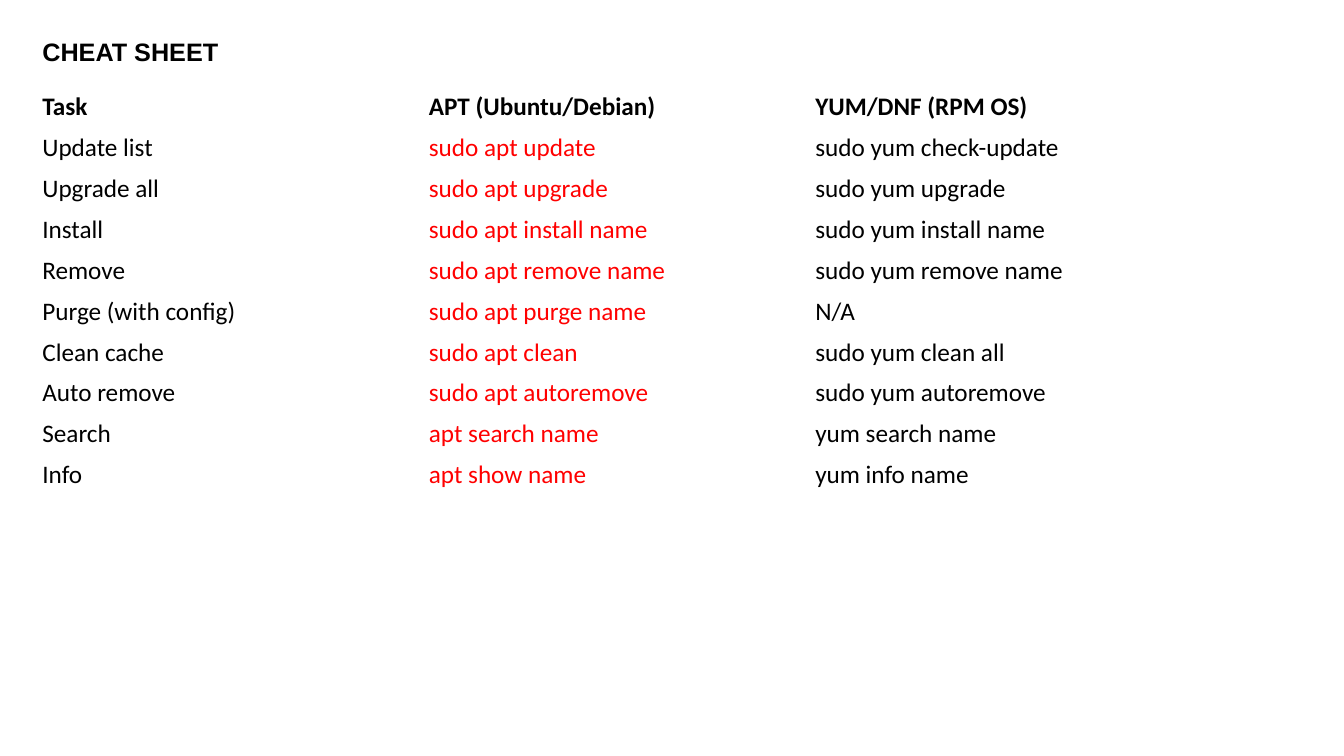
from pptx import Presentation
from pptx.dml.color import RGBColor
from pptx.enum.text import MSO_ANCHOR as ANCHOR, MSO_AUTO_SIZE as AUTO, PP_ALIGN as ALIGN
from pptx.util import Inches, Pt


def rgb(value):
    return RGBColor.from_string(value)


def write(tf, text, font="Calibri", size=18, color="000000", bold=False):
    p = tf.paragraphs[0]
    p.alignment = ALIGN.LEFT
    r = p.add_run()
    r.text = text
    r.font.name = font
    r.font.size = Pt(size)
    r.font.bold = bold
    r.font.color.rgb = rgb(color)


prs = Presentation()
prs.slide_width, prs.slide_height = Inches(13.33), Inches(7.5)
s = prs.slides.add_slide(prs.slide_layouts[5])

# Command table
rows = [
    ("Task", "APT (Ubuntu/Debian)", "YUM/DNF (RPM OS)"),
    ("Update list", "sudo apt update", "sudo yum check-update"),
    ("Upgrade all", "sudo apt upgrade", "sudo yum upgrade"),
    ("Install", "sudo apt install name", "sudo yum install name"),
    ("Remove", "sudo apt remove name", "sudo yum remove name"),
    ("Purge (with config)", "sudo apt purge name", "N/A"),
    ("Clean cache", "sudo apt clean", "sudo yum clean all"),
    ("Auto remove", "sudo apt autoremove", "sudo yum autoremove"),
    ("Search", "apt search name", "yum search name"),
    ("Info", "apt show name", "yum info name"),
]
frame = s.shapes.add_table(len(rows), 3, Inches(0.32), Inches(0.86),
                           Inches(11.5), Inches(0.4 * len(rows)))
table = frame.table
table.horz_banding = False

# Built-in style without fill or grid
table._tbl.tblPr.find("{*}tableStyleId").text = "{2D5ABB26-0587-4C30-8999-92F81FD0307C}"

for i, row in enumerate(rows):
    for j, text in enumerate(row):
        cell = table.cell(i, j)
        cell.fill.background()
        cell.vertical_anchor = ANCHOR.MIDDLE
        color = "FF0000" if i > 0 and j == 1 else "000000"
        write(cell.text_frame, text, color=color, bold=i == 0)

# Title
title = s.shapes.title
title.left, title.top = Inches(0.32), Inches(0.29)
title.width, title.height = Inches(1.96), Inches(0.71)
tf = title.text_frame
tf.word_wrap = False
tf.auto_size = AUTO.NONE
tf.vertical_anchor = ANCHOR.TOP
tf.margin_top = Inches(0.07)
write(tf, "CHEAT SHEET", font="Arial", bold=True)

prs.save("out.pptx")
